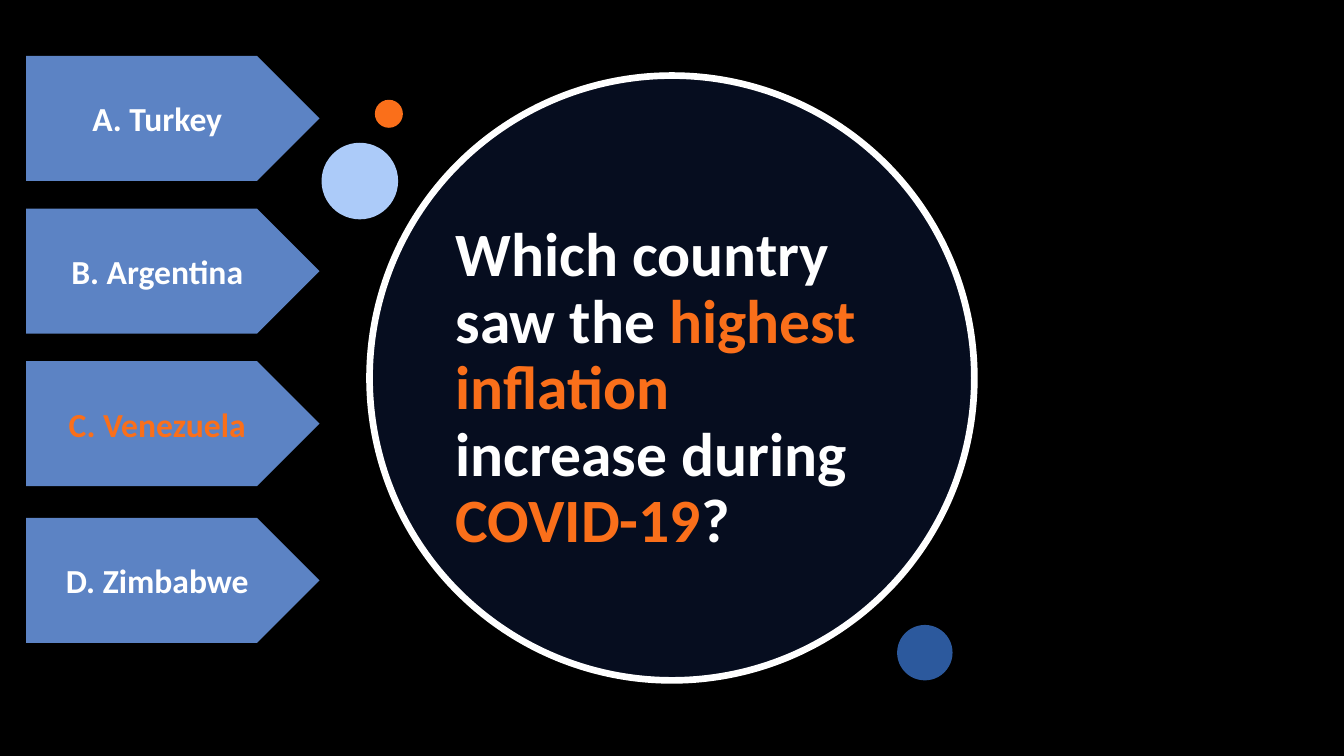
from lxml.etree import SubElement
from pptx import Presentation
from pptx.dml.color import RGBColor
from pptx.enum.shapes import MSO_SHAPE
from pptx.enum.text import MSO_ANCHOR, MSO_AUTO_SIZE, PP_ALIGN
from pptx.oxml.ns import qn
from pptx.util import Pt

WHITE = "FFFFFF"
ORANGE = "FA6F1A"
NAVY = "11224E"
ANSWER_BLUE = "5C83C4"

QUESTION = [
    ("Which country saw the ", WHITE),
    ("highest inflation", ORANGE),
    (" increase during ", WHITE),
    ("COVID-19", ORANGE),
    ("?", WHITE),
]
ANSWERS = [
    ("A. Turkey", 40, WHITE),
    ("B. Argentina", 149, WHITE),
    ("C. Venezuela", 258, ORANGE),
    ("D. Zimbabwe", 370, WHITE),
]
QUESTION_CIRCLE = (264, 54, 432, NAVY)
DOTS = [
    (640.8, 446.4, 39.6, "2C599D"),
    (229.7, 102, 54.7, "ACCBF9"),
    (267.8, 71.3, 20, ORANGE),
]


def color(value):
    return RGBColor.from_string(value)


def add_filled(slide, kind, left, top, width, height, fill):
    shape = slide.shapes.add_shape(kind, Pt(left), Pt(top), Pt(width), Pt(height))
    shape.shadow.inherit = False
    shape.fill.solid()
    shape.fill.fore_color.rgb = color(fill)
    shape.line.fill.background()
    return shape


def add_circle(slide, left, top, diameter, fill):
    return add_filled(slide, MSO_SHAPE.OVAL, left, top, diameter, diameter, fill)


def format_run(run, size, text_color):
    run.font.name = "Calibri"
    run.font.size = Pt(size)
    run.font.bold = True
    run.font.color.rgb = color(text_color)


def add_question_circle(slide):
    circle = add_circle(slide, *QUESTION_CIRCLE)
    circle.line.color.rgb = color(WHITE)
    circle.line.width = Pt(4.75)
    fill_color = circle.fill._xPr.find(qn("a:solidFill"))[0]
    SubElement(fill_color, qn("a:alpha"), val="40000")


def fill_title(slide):
    title = slide.shapes.title
    title.left, title.top, title.width, title.height = Pt(318.2), Pt(156.2), Pt(325.4), Pt(191.5)
    slide.shapes._spTree.append(title._element)
    frame = title.text_frame
    frame.word_wrap = True
    frame.auto_size = MSO_AUTO_SIZE.NONE
    frame.vertical_anchor = MSO_ANCHOR.TOP
    frame.margin_right = Pt(14)
    paragraph = frame.paragraphs[0]
    paragraph.alignment = PP_ALIGN.LEFT
    paragraph.line_spacing = 0.9
    paragraph.space_before = Pt(0)
    for text, text_color in QUESTION:
        run = paragraph.add_run()
        run.text = text
        format_run(run, 44, text_color)


def add_answer(slide, text, top, text_color):
    arrow = add_filled(slide, MSO_SHAPE.PENTAGON, 18.7, top, 209.5, 89.3, ANSWER_BLUE)
    frame = arrow.text_frame
    frame.text = text
    frame.word_wrap = True
    frame.vertical_anchor = MSO_ANCHOR.MIDDLE
    paragraph = frame.paragraphs[0]
    paragraph.alignment = PP_ALIGN.CENTER
    format_run(paragraph.runs[0], 24, text_color)


def main():
    presentation = Presentation()
    presentation.slide_width, presentation.slide_height = Pt(960), Pt(540)
    slide = presentation.slides.add_slide(presentation.slide_layouts[5])
    slide.background.fill.solid()
    slide.background.fill.fore_color.rgb = color("000000")
    add_question_circle(slide)
    for dot in DOTS:
        add_circle(slide, *dot)
    fill_title(slide)
    for answer in ANSWERS:
        add_answer(slide, *answer)
    presentation.save("out.pptx")


if __name__ == "__main__":
    main()
